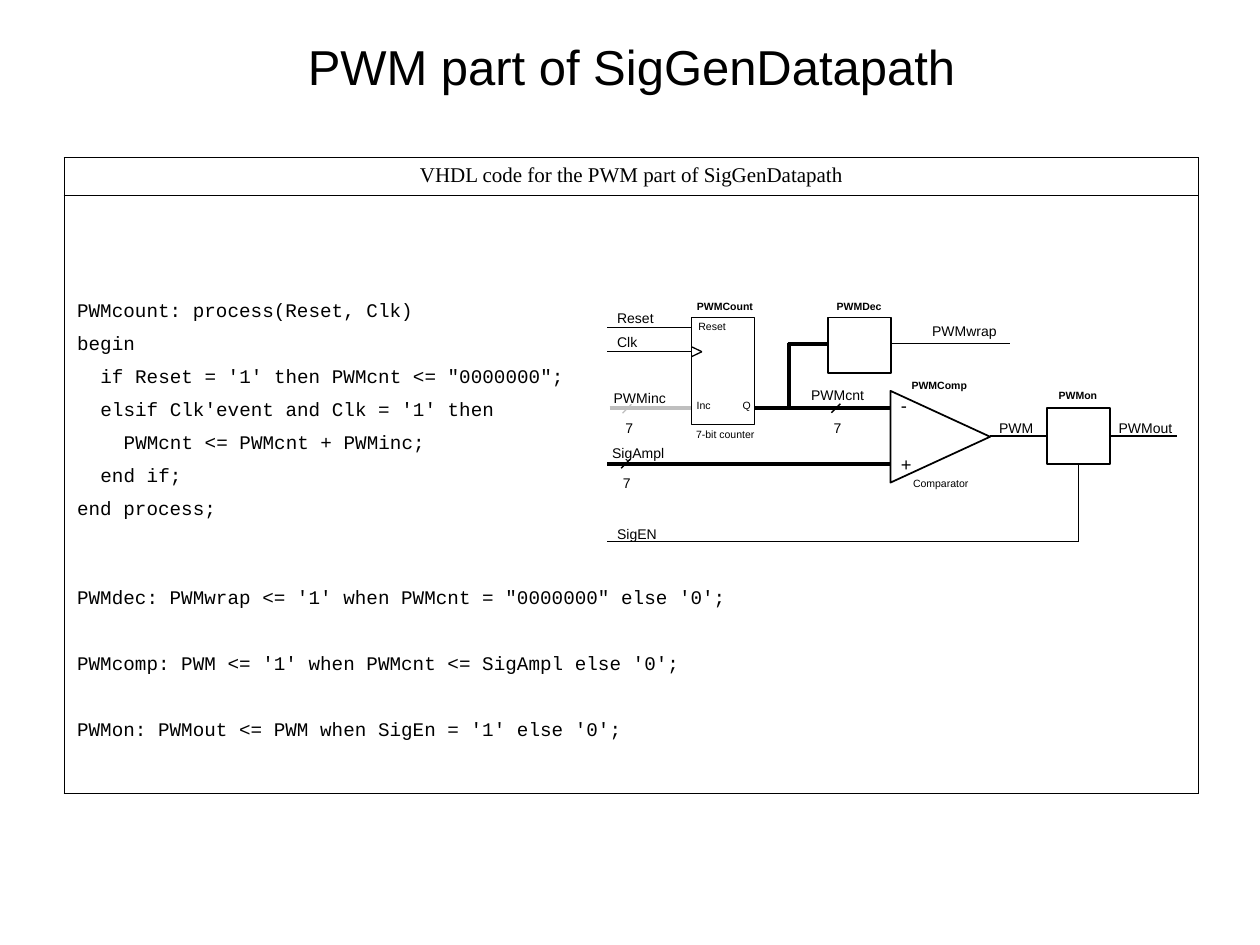
from lxml import etree
from pptx import Presentation
from pptx.dml.color import RGBColor
from pptx.enum.shapes import MSO_CONNECTOR, MSO_SHAPE
from pptx.enum.text import MSO_ANCHOR, MSO_AUTO_SIZE, PP_ALIGN
from pptx.oxml.ns import qn
from pptx.util import Cm, Pt

STRAIGHT = MSO_CONNECTOR.STRAIGHT
RECTANGLE = MSO_SHAPE.RECTANGLE
TRIANGLE = MSO_SHAPE.ISOSCELES_TRIANGLE
MIDDLE = MSO_ANCHOR.MIDDLE
FIT_SHAPE = MSO_AUTO_SIZE.SHAPE_TO_FIT_TEXT
LEFT = PP_ALIGN.LEFT
CENTER = PP_ALIGN.CENTER

COLORS = {"ink": "000000", "paper": "FFFFFF", "gray": "BFBFBF"}
THIN, OUTLINE, BUS = 0.75, 1, 2.25
CODE_INDENT = 0.47
LABEL_HEIGHTS = {6: 0.51, 8: 0.61, 10.5: 0.71}

CODE = [
    (0, 1, 0, "PWMcount: process(Reset, Clk)"),
    (0, 1.5, 0, "begin"),
    (1, 1.5, 0, "if Reset = '1' then PWMcnt <= \"0000000\";"),
    (1, 1.5, 0, "elsif Clk'event and Clk = '1' then"),
    (2, 1.5, 0, "PWMcnt <= PWMcnt + PWMinc;"),
    (1, 1.5, 0, "end if;"),
    (0, 1.5, 0, "end process;"),
    (0, 1, 37.8, "PWMdec: PWMwrap <= '1' when PWMcnt = \"0000000\" else '0';"),
    (0, 1, 25.2, "PWMcomp: PWM <= '1' when PWMcnt <= SigAmpl else '0';"),
    (0, 1, 25.2, "PWMon: PWMout <= PWM when SigEn = '1' else '0';"),
]

WIRES = [
    (12.29, 8.23, 13.97, 8.23, BUS, "gray"),
    (15.21, 8.23, 17.96, 8.23, BUS, "ink"),
    (12.24, 7.09, 13.94, 7.09, THIN, "ink"),
    (12.24, 6.6, 13.94, 6.6, THIN, "ink"),
    (12.24, 9.35, 17.96, 9.35, BUS, "ink"),
    (19.96, 8.79, 23.72, 8.79, THIN, "ink"),
    (15.9, 8.23, 15.9, 6.91, BUS, "ink"),
    (15.88, 6.93, 17.09, 6.93, BUS, "ink"),
    (17.96, 6.93, 20.37, 6.93, THIN, "ink"),
    (12.24, 10.92, 21.74, 10.92, THIN, "ink"),
    (21.74, 10.92, 21.74, 9.35, THIN, "ink"),
]

BLOCKS = [
    (RECTANGLE, 13.94, 6.4, 1.27, 2.16, 0),
    (RECTANGLE, 16.69, 6.4, 1.27, 1.12, 0),
    (RECTANGLE, 21.11, 8.23, 1.27, 1.12, 0),
    (TRIANGLE, 18.03, 7.8, 1.85, 2.01, 90),
]

CLOCK_MARK = [
    (13.94, 6.99, 14.15, 7.09, THIN, "ink"),
    (13.94, 7.19, 14.15, 7.09, THIN, "ink"),
]

BUS_WIDTHS = [
    (12.64, 8.24, 12.34, 8.33, "gray"),
    (16.85, 8.23, 16.54, 8.33, "ink"),
    (12.61, 9.35, 12.29, 9.45, "ink"),
]

SIGNALS = [
    ("PWMinc", 12.12, 7.72, 1.57),
    ("Reset", 12.19, 6.12, 1.27),
    ("Clk", 12.19, 6.6, 0.91),
    ("PWMcnt", 16.1, 7.67, 1.6),
    ("SigAmpl", 12.09, 8.84, 1.57),
    ("PWMout", 22.3, 8.33, 1.6),
    ("PWM", 19.89, 8.33, 1.22),
    ("PWMwrap", 18.54, 6.38, 1.83),
    ("SigEN", 12.19, 10.46, 1.32),
]

COMPARATOR_SIGNS = [("-", 17.91, 7.82, 0.64), ("+", 17.91, 9.02, 0.74)]

BLOCK_NAMES = [
    ("PWMCount", 13.79, 5.92, 1.65),
    ("PWMDec", 16.61, 5.92, 1.42),
    ("PWMon", 21.08, 7.72, 1.3),
    ("PWMComp", 18.11, 7.52, 1.65),
]

BLOCK_NOTES = [
    ("7-bit counter", 13.77, 8.51, 1.7),
    ("Comparator", 18.14, 9.5, 1.65),
    ("Inc", 13.79, 7.92, 0.79),
    ("Q", 14.71, 7.92, 0.69),
    ("Reset", 13.82, 6.32, 1.07),
]


def rgb(color):
    return RGBColor.from_string(COLORS[color])


def add_run(paragraph, text, size, font="Arial", bold=False):
    run = paragraph.add_run()
    run.text = text
    run.font.size = Pt(size)
    run.font.name = font
    run.font.bold = bold
    run.font.color.rgb = rgb("ink")


def add_title(slide, text):
    box = slide.shapes.add_textbox(Cm(1.3), Cm(0.53), Cm(22.86), Cm(1.6))
    frame = box.text_frame
    frame.word_wrap = True
    frame.vertical_anchor = MIDDLE
    frame.paragraphs[0].alignment = CENTER
    add_run(frame.paragraphs[0], text, 28)


def add_label(slide, text, left, top, width, size, align=LEFT, bold=False):
    box = slide.shapes.add_textbox(
        Cm(left), Cm(top), Cm(width), Cm(LABEL_HEIGHTS[size]))
    box.text_frame.word_wrap = False
    box.text_frame.auto_size = FIT_SHAPE
    paragraph = box.text_frame.paragraphs[0]
    paragraph.alignment = align
    add_run(paragraph, text, size, bold=bold)


def add_wire(slide, x1, y1, x2, y2, weight, color):
    wire = slide.shapes.add_connector(STRAIGHT, Cm(x1), Cm(y1), Cm(x2), Cm(y2))
    wire.line.width = Pt(weight)
    wire.line.color.rgb = rgb(color)
    etree.SubElement(wire._element.spPr, qn("a:effectLst"))


def add_bus_width(slide, x, y, label_left, label_top, color):
    add_wire(slide, x - 0.09, y + 0.09, x + 0.09, y - 0.09, THIN, color)
    add_label(slide, "7", label_left, label_top, 0.69, 8, CENTER)


def add_block(slide, kind, left, top, width, height, rotation):
    block = slide.shapes.add_shape(
        kind, Cm(left), Cm(top), Cm(width), Cm(height))
    block.rotation = rotation
    block.shadow.inherit = False
    block.fill.solid()
    block.fill.fore_color.rgb = rgb("paper")
    block.line.color.rgb = rgb("ink")
    block.line.width = Pt(OUTLINE)


def style_cell(cell):
    properties = cell._tc.get_or_add_tcPr()
    for side in ("a:lnL", "a:lnR", "a:lnT", "a:lnB"):
        border = etree.SubElement(properties, qn(side), w=str(Pt(OUTLINE)))
        fill = etree.SubElement(border, qn("a:solidFill"))
        etree.SubElement(fill, qn("a:srgbClr"), val=COLORS["ink"])
    cell.fill.background()


def add_code_table(slide):
    table = slide.shapes.add_table(
        2, 1, Cm(1.3), Cm(3.18), Cm(22.86), Cm(12.82)).table
    table.first_row = False
    table.horz_banding = False
    for row, height in zip(table.rows, (0.76, 12.06)):
        row.height = Cm(height)
        style_cell(row.cells[0])
    heading, body = table.cell(0, 0), table.cell(1, 0)
    paragraph = heading.text_frame.paragraphs[0]
    paragraph.alignment = CENTER
    add_run(paragraph, "VHDL code for the PWM part of SigGenDatapath", 12,
            "Times New Roman")
    body.margin_top = Cm(2.13)
    for index, (level, spacing, before, text) in enumerate(CODE):
        frame = body.text_frame
        paragraph = frame.add_paragraph() if index else frame.paragraphs[0]
        paragraph.line_spacing = spacing
        paragraph.space_before = Pt(before)
        indent = Cm(CODE_INDENT * level)
        paragraph._p.get_or_add_pPr().set("marL", str(indent))
        add_run(paragraph, text, 11, "Courier New")


def add_diagram(slide):
    for wire in WIRES:
        add_wire(slide, *wire)
    for block in BLOCKS:
        add_block(slide, *block)
    for stroke in CLOCK_MARK:
        add_wire(slide, *stroke)
    for bus_width in BUS_WIDTHS:
        add_bus_width(slide, *bus_width)
    for signal in SIGNALS:
        add_label(slide, *signal, 8)
    for sign in COMPARATOR_SIGNS:
        add_label(slide, *sign, 10.5)
    for name in BLOCK_NAMES:
        add_label(slide, *name, 6, CENTER, True)
    for note in BLOCK_NOTES:
        add_label(slide, *note, 6, CENTER)


def main():
    presentation = Presentation()
    presentation.slide_width = Cm(25.4)
    presentation.slide_height = Cm(19.05)
    slide = presentation.slides.add_slide(presentation.slide_layouts[6])
    add_code_table(slide)
    add_title(slide, "PWM part of SigGenDatapath")
    add_diagram(slide)
    presentation.save("out.pptx")


main()
